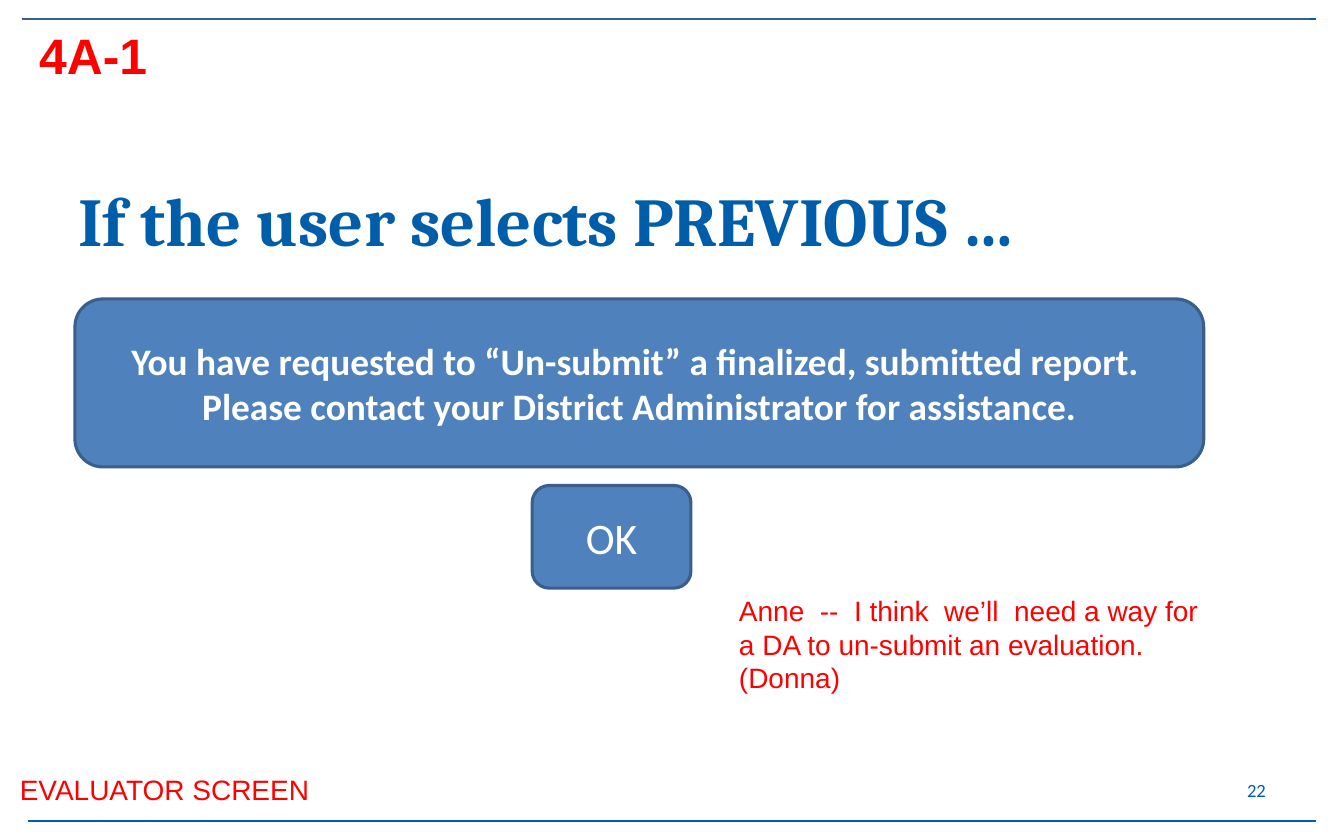
from dataclasses import dataclass

from lxml.etree import SubElement
from pptx import Presentation
from pptx.dml.color import RGBColor
from pptx.enum.shapes import MSO_CONNECTOR, MSO_SHAPE
from pptx.enum.text import MSO_ANCHOR, PP_ALIGN
from pptx.oxml.ns import qn
from pptx.util import Cm, Pt


@dataclass(frozen=True)
class Theme:
    blue: str = "005DAA"
    navy: str = "376092"
    fill: str = "4F81BD"
    edge: str = "3A5F8C"
    red: str = "FF0000"
    white: str = "FFFFFF"
    head: str = "Cambria"
    body: str = "Calibri"
    note: str = "Arial"
    title: int = 44
    tag: int = 32
    button: int = 28
    message: int = 24
    text: int = 18
    small: int = 12


@dataclass(frozen=True)
class Box:
    x: float
    y: float
    w: float
    h: float

    def inner(self, x, y, w, h):
        """Return a box set off from this box's top left corner."""
        return Box(self.x + x, self.y + y, w, h)

    def place(self):
        return Cm(self.x), Cm(self.y), Cm(self.w), Cm(self.h)


THEME = Theme()


def color(code):
    return RGBColor.from_string(code)


def write(shape, text, font, size, tint, bold=False,
          align=PP_ALIGN.LEFT, anchor=MSO_ANCHOR.TOP):
    frame = shape.text_frame
    frame.text = text
    frame.word_wrap = True
    frame.vertical_anchor = anchor
    para = frame.paragraphs[0]
    para.alignment = align
    style = para.runs[0].font
    style.name, style.size, style.bold = font, Pt(size), bold
    style.color.rgb = color(tint)


def add_label(slide, box, text, font, size, tint, **look):
    label = slide.shapes.add_textbox(*box.place())
    write(label, text, font, size, tint, **look)
    return label


def add_rule(slide, x, y, width, tint):
    line = slide.shapes.add_connector(
        MSO_CONNECTOR.STRAIGHT, Cm(x), Cm(y), Cm(x + width), Cm(y))
    line.line.color.rgb = color(tint)
    line.line.width = Pt(1.5)
    SubElement(line._element.spPr, qn("a:effectLst"))


def add_panel(slide, box, text, size, bold=False):
    panel = slide.shapes.add_shape(MSO_SHAPE.ROUNDED_RECTANGLE, *box.place())
    panel.shadow.inherit = False
    panel.fill.solid()
    panel.fill.fore_color.rgb = color(THEME.fill)
    panel.line.color.rgb = color(THEME.edge)
    panel.line.width = Pt(2)
    write(panel, text, THEME.body, size, THEME.white, bold,
          PP_ALIGN.CENTER, MSO_ANCHOR.MIDDLE)


def add_frame(slide, box):
    # Rules along the top and bottom edges
    for x, y, tint in ((0, 0, THEME.blue), (0, box.h, THEME.blue),
                       (-0.13, 0, THEME.navy)):
        add_rule(slide, box.x + x, box.y + y, box.w, tint)


def add_header(slide, box):
    # Title, with the screen code above it
    title = slide.shapes.title
    title.left, title.top, title.width, title.height = box.inner(
        0.88, 2.95, 27.43, 3.18).place()
    write(title, "If the user selects PREVIOUS …", THEME.head, THEME.title,
          THEME.blue, bold=True, anchor=MSO_ANCHOR.MIDDLE)
    add_label(slide, box.inner(0, 0, 3.61, 1.63), "4A-1", THEME.note,
              THEME.tag, THEME.red, bold=True)


def add_dialog(slide, box):
    # Message, its button and the reviewer's remark
    add_panel(slide, box.inner(0, 0, box.w, 3.81),
              "You have requested to “Un-submit” a finalized, submitted "
              "report.  Please contact your District Administrator for "
              "assistance.", THEME.message, bold=True)
    add_panel(slide, box.inner(10.37, 4.23, 3.6, 2.33), "OK", THEME.button)
    add_label(slide, box.inner(14.81, 6.56, 11.23, 2.57),
              "Anne  --  I think  we’ll  need a way for a DA to un-submit "
              "an evaluation. (Donna)", THEME.note, THEME.text, THEME.red)


def add_footer(slide, box):
    # Screen name at the left, page number at the right
    name = add_label(slide, box.inner(0, 0, 8.46, box.h), "EVALUATOR SCREEN",
                     THEME.note, THEME.text, THEME.red)
    name.fill.solid()
    name.fill.fore_color.rgb = color(THEME.white)
    add_label(slide, box.inner(box.w - 7.11, 0, 7.11, box.h), "22",
              THEME.body, THEME.small, THEME.blue,
              align=PP_ALIGN.RIGHT, anchor=MSO_ANCHOR.MIDDLE)


def main():
    deck = Presentation()
    deck.slide_width, deck.slide_height = Cm(30.48), Cm(19.05)
    slide = deck.slides.add_slide(deck.slide_layouts[5])
    add_frame(slide, Box(0.64, 0.43, 29.21, 18.19))
    add_header(slide, Box(0.64, 0.43, 29.21, 6.13))
    add_dialog(slide, Box(1.7, 6.78, 25.6, 9.13))
    add_footer(slide, Box(0.2, 17.4, 28.76, 1.02))
    deck.save("out.pptx")


if __name__ == "__main__":
    main()
